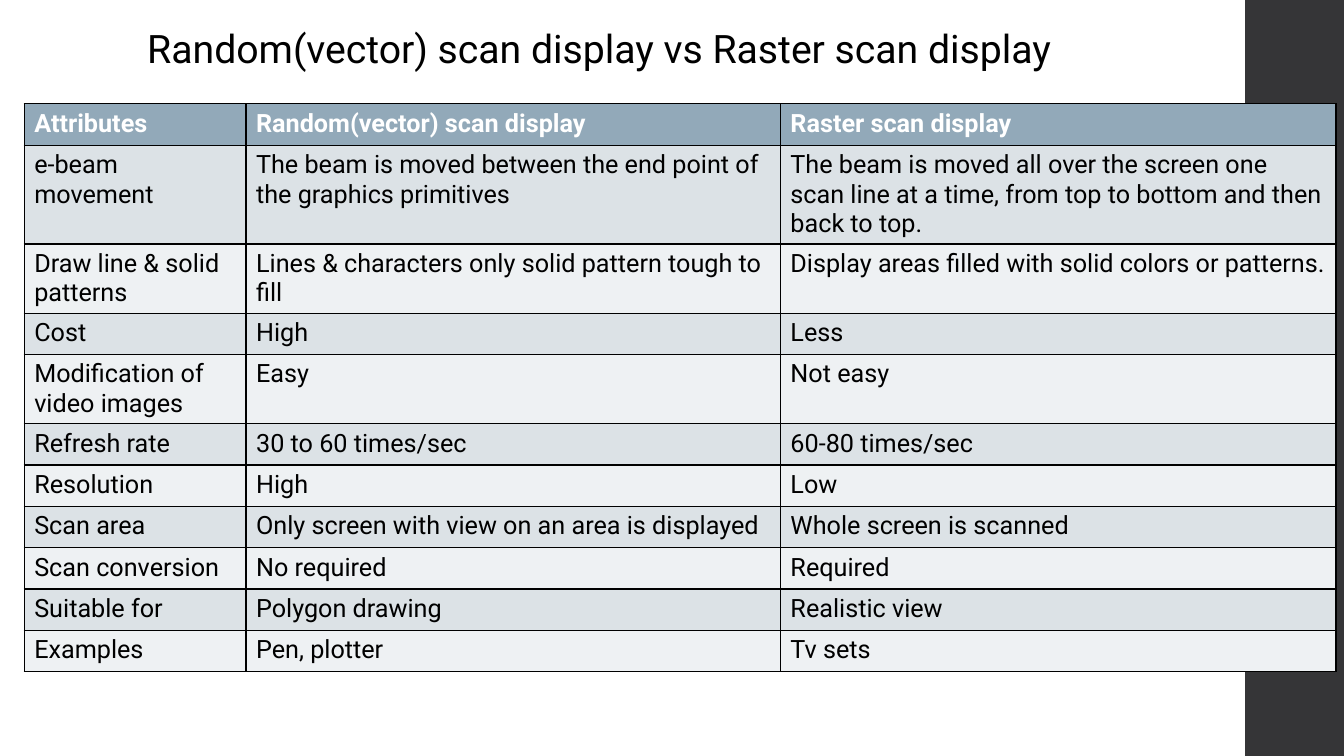
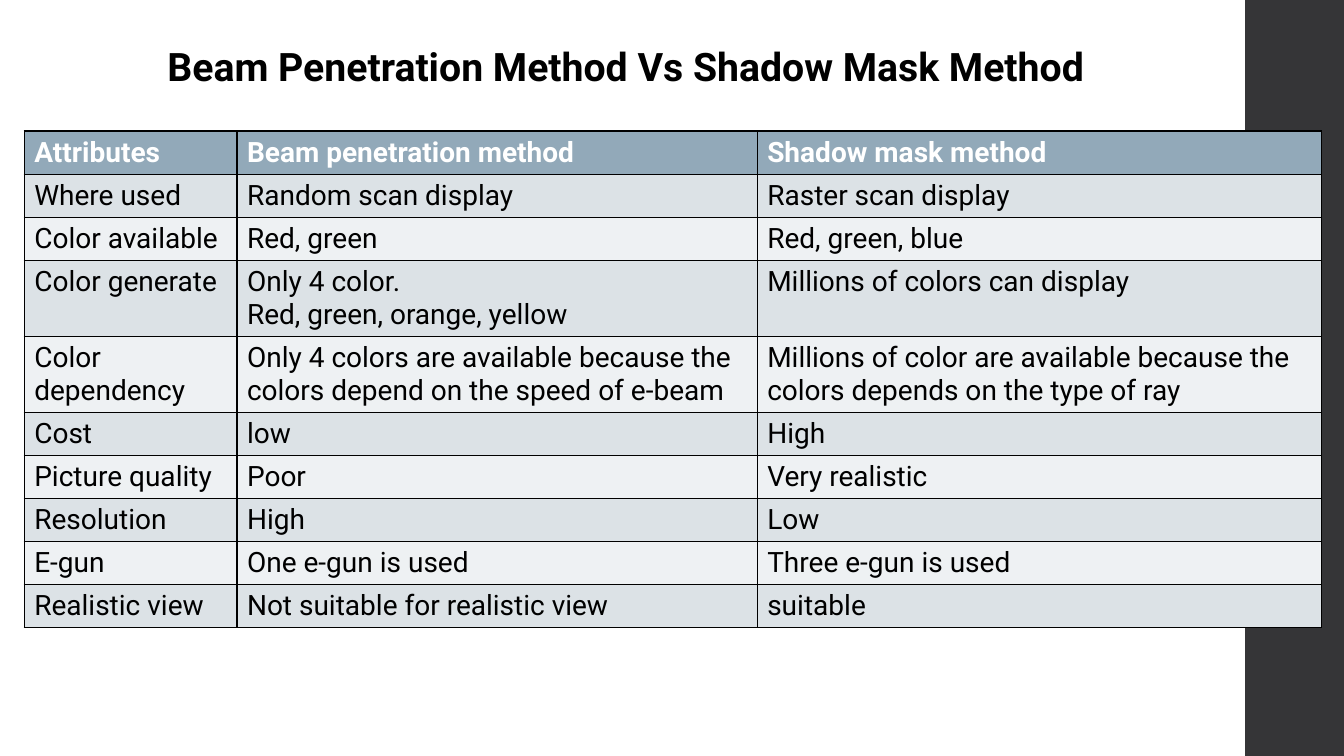
"""Build two slides that compare display techniques in tables."""
from lxml import etree
from pptx import Presentation
from pptx import util as u
from pptx.dml.color import RGBColor
from pptx.enum import shapes, text
from pptx.oxml import ns

PX = 9144
WIDTH, HEIGHT = 1333, 750
FONT = "Roboto"
COLORS = {
    "band": "353537",
    "header": "92A9B9",
    "odd": "DCE2E6",
    "even": "EEF1F3",
    "text": "000000",
    "header_text": "FFFFFF",
    "border": "000000",
}

SCAN_ROWS = [
    ("Attributes", "Random(vector) scan display", "Raster scan display"),
    ("e-beam movement",
     "The beam is moved between the end point of the graphics primitives",
     "The beam is moved all over the screen one scan line at a time, "
     "from top to bottom and then back to top."),
    ("Draw line & solid patterns",
     "Lines & characters only solid pattern tough to fill",
     "Display areas filled with solid colors or patterns."),
    ("Cost", "High", "Less"),
    ("Modification of video images", "Easy", "Not easy"),
    ("Refresh rate", "30 to 60 times/sec", "60-80 times/sec"),
    ("Resolution", "High", "Low"),
    ("Scan area", "Only screen with view on an area is displayed",
     "Whole screen is scanned"),
    ("Scan conversion", "No required", "Required"),
    ("Suitable for", "Polygon drawing", "Realistic view"),
    ("Examples", "Pen, plotter", "Tv sets"),
]

METHOD_ROWS = [
    ("Attributes", "Beam penetration method", "Shadow mask method"),
    ("Where used", "Random scan display", "Raster scan display"),
    ("Color available", "Red, green", "Red, green, blue"),
    ("Color generate", "Only 4 color.\nRed, green, orange, yellow",
     "Millions of colors can display"),
    ("Color dependency",
     "Only 4 colors are available because the colors depend on the speed of e-beam",
     "Millions of color are available because the colors depends on the type of ray"),
    ("Cost", "low", "High"),
    ("Picture quality", "Poor", "Very realistic"),
    ("Resolution", "High", "Low"),
    ("E-gun", "One e-gun is used", "Three e-gun is used"),
    ("Realistic view", "Not suitable for realistic view", "suitable"),
]


def px(n):
    return u.Emu(n * PX)


def rgb(name):
    return RGBColor.from_string(COLORS[name])


def write(tf, content, size=18, color="text", bold=False):
    tf.text = content
    for p in tf.paragraphs:
        p.alignment = text.PP_ALIGN.LEFT
        for r in p.runs:
            r.font.name = FONT
            r.font.size = u.Pt(size)
            r.font.bold = bold
            r.font.color.rgb = rgb(color)


class Deck:
    def __init__(self):
        self.prs = Presentation()
        self.prs.slide_width, self.prs.slide_height = px(WIDTH), px(HEIGHT)
        self.s = None

    def slide(self):
        self.s = self.prs.slides.add_slide(self.prs.slide_layouts[5])
        self.band(1235, 0, WIDTH - 1235, HEIGHT)

    def band(self, x, y, w, h):
        sp = self.s.shapes.add_shape(
            shapes.MSO_SHAPE.RECTANGLE, px(x), px(y), px(w), px(h))
        sp.shadow.inherit = False
        sp.fill.solid()
        sp.fill.fore_color.rgb = rgb("band")
        sp.line.fill.background()

    def title(self, content, x, y, w, h=57, bold=False):
        sp = self.s.shapes.title
        sp.left, sp.top, sp.width, sp.height = px(x), px(y), px(w), px(h)
        tf = sp.text_frame
        tf.word_wrap = True
        tf.auto_size = text.MSO_AUTO_SIZE.NONE
        tf.vertical_anchor = text.MSO_ANCHOR.TOP
        write(tf, content, size=28, bold=bold)

    def borders(self, cell):
        tc_pr = cell._tc.get_or_add_tcPr()
        for side in ("lnL", "lnR", "lnT", "lnB"):
            ln = etree.SubElement(tc_pr, ns.qn(f"a:{side}"), w=str(u.Pt(1)))
            fill = etree.SubElement(ln, ns.qn("a:solidFill"))
            etree.SubElement(fill, ns.qn("a:srgbClr"), val=COLORS["border"])

    def table(self, rows, x, y, widths, size, row_h=41):
        frame = self.s.shapes.add_table(
            len(rows), len(widths), px(x), px(y),
            px(sum(widths)), px(row_h * len(rows)))
        table = frame.table
        for column, w in zip(table.columns, widths):
            column.width = px(w)
        for i, row in enumerate(rows):
            header = i == 0
            fill = "header" if header else "odd" if i % 2 else "even"
            for j, content in enumerate(row):
                cell = table.cell(i, j)
                self.borders(cell)
                cell.fill.solid()
                cell.fill.fore_color.rgb = rgb(fill)
                write(cell.text_frame, content, size=size, bold=header,
                      color="header_text" if header else "text")


def main():
    deck = Deck()
    deck.slide()
    deck.title("Random(vector) scan display vs Raster scan display", 136, 19, 1021)
    deck.table(SCAN_ROWS, 24, 103, (220, 530, 551), size=18)

    deck.slide()
    deck.title("Beam Penetration Method Vs Shadow Mask Method", 156, 37, 1054,
               bold=True)
    deck.table(METHOD_ROWS, 24, 130, (211, 516, 560), size=20)
    deck.prs.save("out.pptx")


if __name__ == "__main__":
    main()
